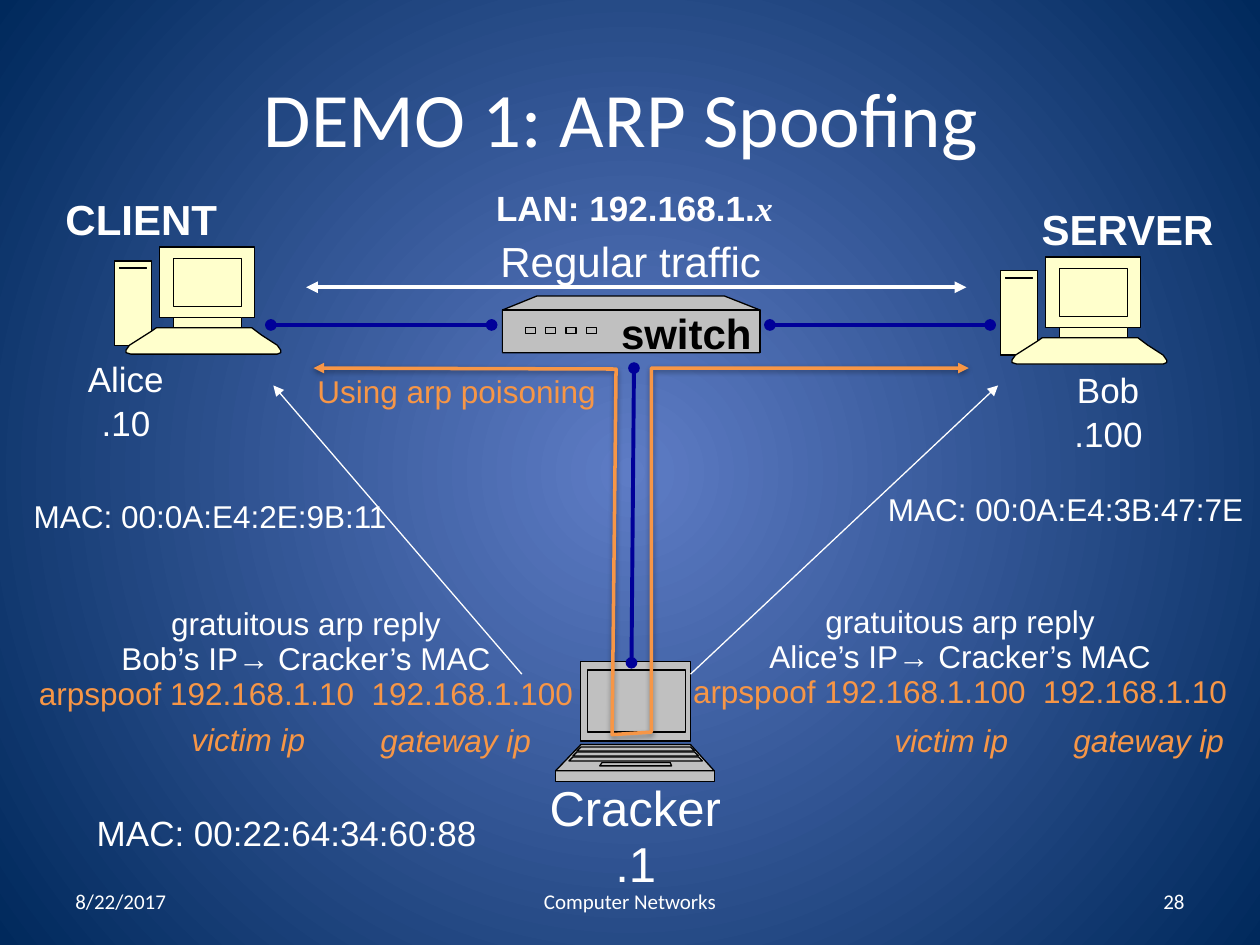
from lxml.etree import SubElement
from pptx import Presentation
from pptx.dml.color import RGBColor
from pptx.enum.shapes import MSO_CONNECTOR
from pptx.enum.text import MSO_ANCHOR, MSO_AUTO_SIZE, PP_ALIGN
from pptx.oxml.ns import qn
from pptx.util import Cm, Pt

WHITE = RGBColor(0xFF, 0xFF, 0xFF)
BLACK = RGBColor(0x00, 0x00, 0x00)
ORANGE = RGBColor(0xF7, 0x96, 0x46)
NAVY = RGBColor(0x00, 0x00, 0x99)
CREAM = RGBColor(0xFF, 0xFF, 0xCC)
GRAY = RGBColor(0xC0, 0xC0, 0xC0)
GLOW_BLUE = RGBColor(0x5E, 0x7C, 0xC5)
DEEP_BLUE = RGBColor(0x00, 0x29, 0x5C)
LEFT, CENTER, RIGHT = PP_ALIGN.LEFT, PP_ALIGN.CENTER, PP_ALIGN.RIGHT

presentation = Presentation()
presentation.slide_width = Cm(25.4)
presentation.slide_height = Cm(19.05)
slide = presentation.slides.add_slide(presentation.slide_layouts[5])


def add_device(contours, color):
    """Draw one freeform whose contours are each filled on their own."""
    first_x, first_y = contours[0][0]
    builder = slide.shapes.build_freeform(Cm(first_x), Cm(first_y), 1)
    for number, contour in enumerate(contours):
        points = [(Cm(x), Cm(y)) for x, y in contour]
        if number:
            builder.move_to(*points[0])
        builder.add_line_segments(points[1:], close=True)
    shape = builder.convert_to_shape()
    shape.shadow.inherit = False
    shape.fill.solid()
    shape.fill.fore_color.rgb = color
    shape.line.color.rgb = BLACK
    shape.line.width = Pt(0.75)
    # Overlapping contours in a single path would cut holes in each other
    combined = shape._element.find(".//" + qn("a:path"))
    path_list = combined.getparent()
    for command in list(combined):
        if command.tag == qn("a:moveTo"):
            separate = SubElement(path_list, qn("a:path"), dict(combined.attrib))
        separate.append(command)
    path_list.remove(combined)


def add_label(left, top, width, height, lines, size, align=LEFT, bold=False,
              italic=False, wrap=False, font="Arial"):
    """Add a text box; lines holds (text, color) pairs, one per paragraph."""
    box = slide.shapes.add_textbox(Cm(left), Cm(top), Cm(width), Cm(height))
    frame = box.text_frame
    frame.word_wrap = wrap
    for number, (text, color) in enumerate(lines):
        paragraph = frame.add_paragraph() if number else frame.paragraphs[0]
        paragraph.alignment = align
        paragraph.line_spacing = 0.93
        run = paragraph.add_run()
        run.text = text
        run.font.name = font
        run.font.size = Pt(size)
        run.font.bold = bold
        run.font.italic = italic
        run.font.color.rgb = color
    return frame


# Background
background = slide.background.fill
background.gradient()
for stop, color in zip(background.gradient_stops, (GLOW_BLUE, DEEP_BLUE)):
    stop.color.rgb = color
gradient = slide.element.find(".//" + qn("a:gradFill"))
gradient.remove(gradient.find(qn("a:lin")))
radial = SubElement(gradient, qn("a:path"), path="circle")
SubElement(radial, qn("a:fillToRect"), l="50000", t="50000", r="50000", b="50000")

# Title
title = slide.shapes.title
title.left, title.top, title.width, title.height = Cm(1.27), Cm(0.76), Cm(22.86), Cm(3.18)
title.text_frame.vertical_anchor = MSO_ANCHOR.MIDDLE
paragraph = title.text_frame.paragraphs[0]
paragraph.alignment = CENTER
run = paragraph.add_run()
run.text = "DEMO 1: ARP Spoofing "
run.font.name = "Calibri"
run.font.size = Pt(44)
run.font.color.rgb = WHITE

# Footer
for left, width, text, align in [
    (1.27, 5.93, "8/22/2017", LEFT),
    (8.68, 8.04, "Computer Networks", CENTER),
    (18.2, 5.93, "28", RIGHT),
]:
    frame = add_label(left, 17.66, width, 1.01, [(text, WHITE)], 12, align,
                      wrap=True, font="Calibri")
    frame.vertical_anchor = MSO_ANCHOR.MIDDLE
    frame.paragraphs[0].line_spacing = 1

# Client and server computers; boxes are left, top, right, bottom
tower, monitor, screen = (0, 0.28, 0.74, 1.98), (0.91, 0, 2.82, 1.42), (1.19, 0.23, 2.56, 1.2)
stand, drive_slot = (1.19, 1.42, 2.56, 1.63), (0.1, 0.41, 0.64, 0.44)
keyboard = [(0.84, 1.63), (2.77, 1.63), (2.97, 1.78), (3.28, 1.98), (3.35, 2.08),
            (3.35, 2.13), (3.28, 2.16), (0.33, 2.16), (0.23, 2.13), (0.23, 2.08),
            (0.3, 1.98), (0.74, 1.7)]
computer = [[(l, t), (r, t), (r, b), (l, b)]
            for l, t, r, b in (tower, monitor, screen, stand, drive_slot)] + [keyboard]
for left, top in [(2.31, 4.98), (20.17, 5.18)]:
    add_device([[(left + x, top + y) for x, y in contour] for contour in computer], CREAM)

# Cracker's laptop
laptop = [[(l, t), (r, t), (r, b), (l, b)] for l, t, r, b in [
    (11.71, 13.34, 13.92, 14.94), (11.84, 13.51, 13.82, 14.76), (11.2, 15.54, 14.4, 15.75)]]
laptop.append([(11.71, 15.01), (11.2, 15.54), (14.4, 15.54), (13.92, 15.01)])
laptop.append([(12.14, 15.37), (12.09, 15.44), (13.54, 15.44), (13.51, 15.37)])
for row in range(3):
    l, r, t = 11.71 - 0.08 * row, 13.92 + 0.08 * row, 15.06 + 0.1 * row
    laptop.append([(l, t), (l - 0.08, t + 0.08), (r + 0.08, t + 0.08), (r, t)])
add_device(laptop, GRAY)

# Switch
switch = [[(10.13, 6.25), (10.82, 5.97), (14.61, 5.97), (15.32, 6.25),
           (15.32, 7.11), (10.13, 7.11)],
          [(10.13, 6.25), (15.32, 6.25), (15.32, 7.11), (10.13, 7.11)]]
for port in range(4):
    l = 10.59 + 0.41 * port
    switch.append([(l, 6.6), (l + 0.2, 6.6), (l + 0.2, 6.73), (l, 6.73)])
add_device(switch, GRAY)

# Labels
for left, top, width, height, text, size, color in [
    (1.52, 7.16, 2.06, 1.04, "Alice", 20, WHITE),
    (1.8, 8.05, 1.5, 1.04, ".10", 20, WHITE),
    (21.46, 7.39, 1.78, 1.04, "Bob", 20, WHITE),
    (21.41, 8.26, 1.9, 1.04, ".100", 20, WHITE),
    (6.15, 7.44, 6.17, 0.97, "Using arp poisoning", 18, ORANGE),
    (0.43, 9.96, 7.7, 0.97, "MAC: 00:0A:E4:2E:9B:11", 18, WHITE),
    (17.65, 9.83, 7.75, 0.97, "MAC: 00:0A:E4:3B:47:7E", 18, WHITE),
    (1.7, 16.31, 8.23, 1.04, "MAC: 00:22:64:34:60:88", 20, WHITE),
]:
    add_label(left, top, width, height, [(text, color)], size)

add_label(1.07, 3.86, 3.61, 1.22, [("CLIENT", WHITE)], 24, bold=True)
add_label(20.75, 4.06, 4.01, 1.22, [("SERVER", WHITE)], 24, bold=True)
add_label(12.27, 6.17, 3.38, 1.02, [("switch", BLACK)], 24, bold=True, wrap=True)
add_label(9.12, 4.72, 7.19, 1.22, [("Regular traffic", WHITE)], 24, CENTER, wrap=True)
add_label(10.8, 15.65, 4.01, 1.37, [("Cracker", WHITE)], 28, CENTER)
add_label(12.14, 16.79, 1.35, 1.37, [(".1", WHITE)], 28, CENTER)

network = add_label(9.75, 3.71, 6.12, 1.04, [("LAN: 192.168.1.", WHITE)], 20, bold=True)
run = network.paragraphs[0].add_run()
run.text = "x"
run.font.name = "Times New Roman"
run.font.size = Pt(20)
run.font.bold = run.font.italic = True
run.font.color.rgb = WHITE

for left, top, width, wrap, spoofed, command in [
    (0.48, 12.12, 11.38, False, "Bob’s IP→ Cracker’s MAC",
     "arpspoof 192.168.1.10  192.168.1.100"),
    (13.54, 12.07, 11.63, True, "Alice’s IP→ Cracker’s MAC",
     "arpspoof 192.168.1.100  192.168.1.10"),
]:
    add_label(left, top, width, 2.41, [("gratuitous arp reply", WHITE), (spoofed, WHITE),
                                       (command, ORANGE)], 18, CENTER, wrap=wrap)

for left, top, text in [(3.61, 14.45, "victim ip"), (7.42, 14.48, "gateway ip"),
                        (17.78, 14.48, "victim ip"), (21.39, 14.48, "gateway ip")]:
    add_label(left, top, 3.81, 0.97, [(text, ORANGE)], 18, italic=True, wrap=True)

# Poisoned route through the cracker
builder = slide.shapes.build_freeform(Cm(6.32), Cm(7.42), 1)
builder.add_line_segments([(Cm(x), Cm(y)) for x, y in [
    (12.42, 7.44), (12.34, 14.81), (13.13, 14.76), (13.13, 7.42), (19.53, 7.42)]], close=False)
route = builder.convert_to_shape()
route.fill.background()
route.line.color.rgb = ORANGE
route.line.width = Pt(2)
for end in ("a:headEnd", "a:tailEnd"):
    SubElement(route.line._get_or_add_ln(), qn(end), type="triangle")
route.shadow.inherit = False
effects = route._element.spPr.find(qn("a:effectLst"))
shadow = SubElement(effects, qn("a:outerShdw"), blurRad="40000", dist="20000",
                    dir="5400000", rotWithShape="0")
shadow_color = SubElement(shadow, qn("a:srgbClr"), val="000000")
SubElement(shadow_color, qn("a:alpha"), val="38000")

# Reply arrows, regular traffic and cables
for x1, y1, x2, y2, color, width, head, tail in [
    (10.52, 13.59, 5.51, 7.77, WHITE, 0.75, "none", "triangle"),
    (13.92, 13.59, 20.12, 7.77, WHITE, 0.75, "none", "triangle"),
    (6.17, 5.79, 19.48, 5.79, WHITE, 2.25, "triangle", "triangle"),
    (5.46, 6.55, 9.91, 6.55, NAVY, 2.25, "oval", "oval"),
    (15.52, 6.55, 19.96, 6.55, NAVY, 2.25, "oval", "oval"),
    (12.78, 7.42, 12.73, 13.36, NAVY, 2.25, "oval", "oval"),
]:
    connector = slide.shapes.add_connector(MSO_CONNECTOR.STRAIGHT, Cm(x1), Cm(y1), Cm(x2), Cm(y2))
    connector.line.color.rgb = color
    connector.line.width = Pt(width)
    line = connector.line._get_or_add_ln()
    SubElement(line, qn("a:headEnd"), type=head)
    SubElement(line, qn("a:tailEnd"), type=tail)
    SubElement(connector._element.spPr, qn("a:effectLst"))

presentation.save("out.pptx")
